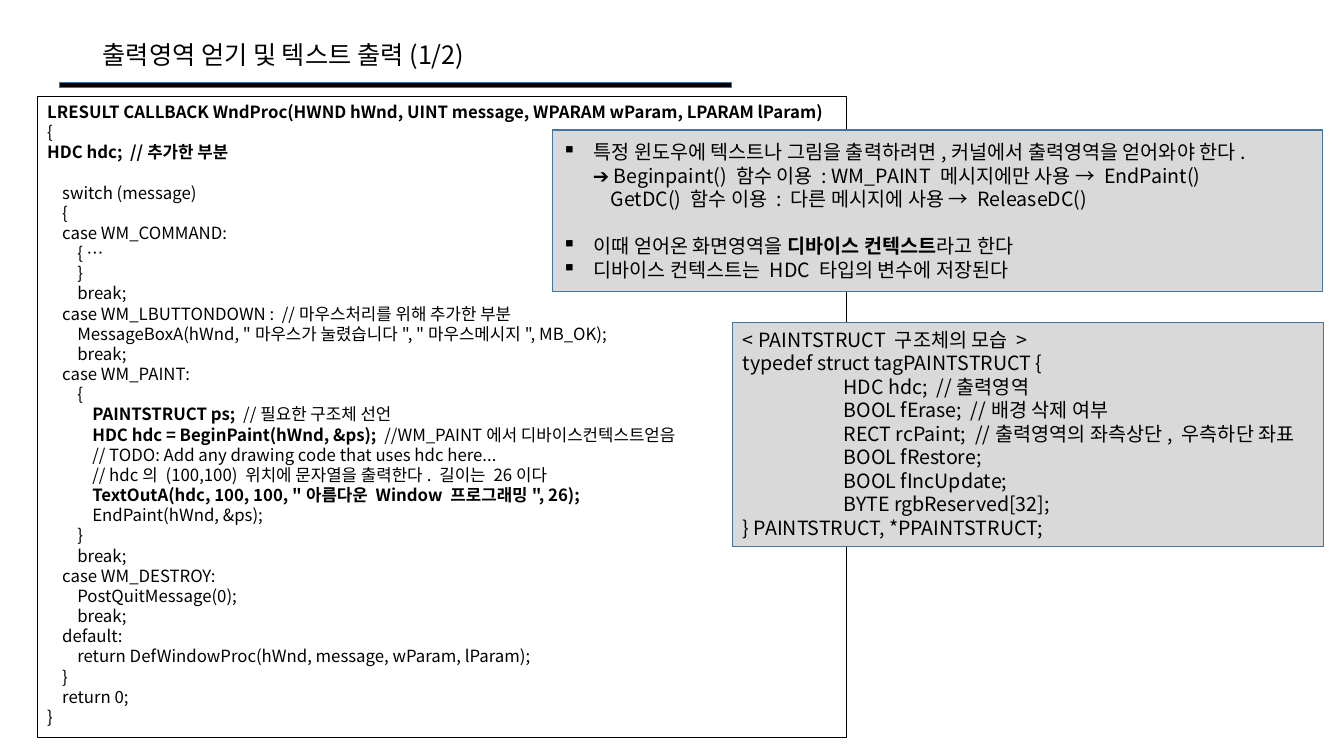
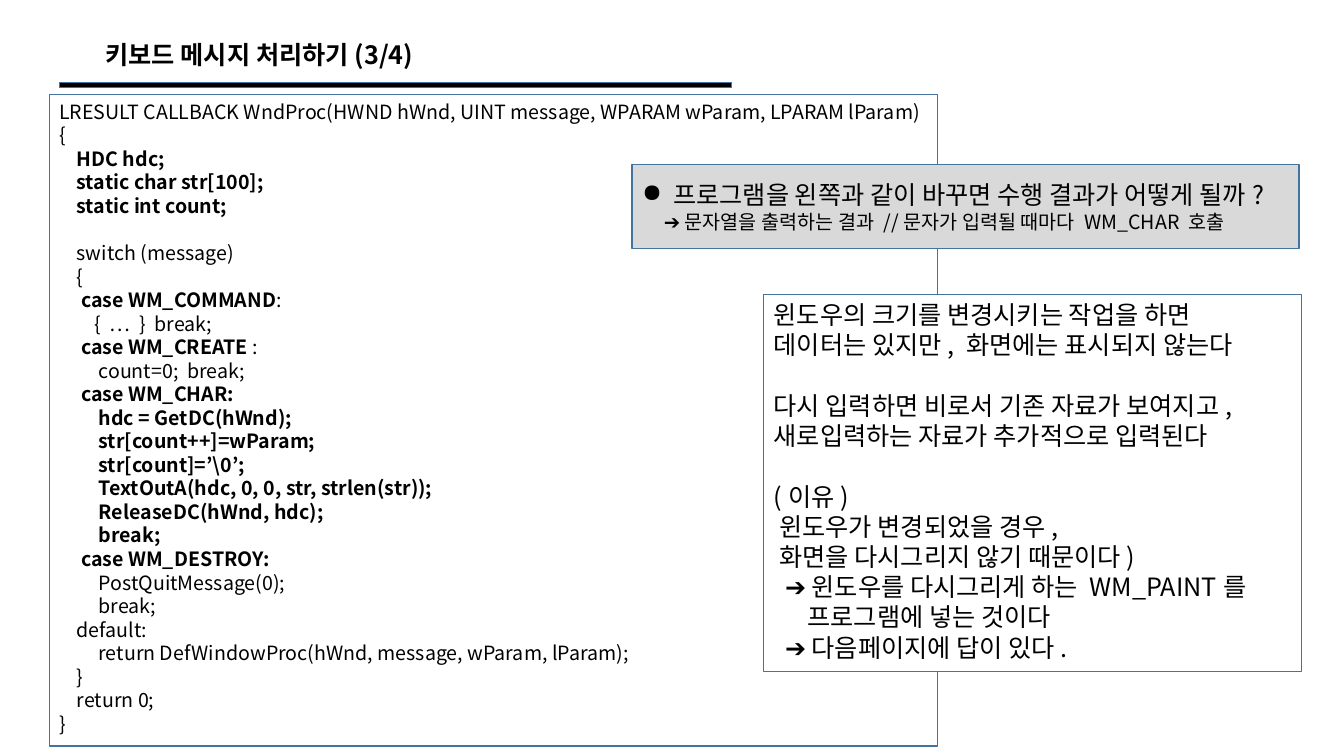
from dataclasses import dataclass

from lxml.etree import SubElement
from pptx import Presentation
from pptx.dml.color import RGBColor
from pptx.enum.shapes import MSO_SHAPE
from pptx.enum.text import MSO_ANCHOR, PP_ALIGN
from pptx.oxml.ns import qn
from pptx.shapes.autoshape import Shape
from pptx.slide import Slide
from pptx.text.text import TextFrame
from pptx.util import Cm, Pt


@dataclass(frozen=True)
class Theme:
    font: str = "Noto Sans CJK KR"
    black: str = "000000"
    white: str = "FFFFFF"
    gray: str = "D9D9D9"
    blue: str = "43739E"
    large: int = 18
    mid: int = 14
    small: int = 12
    pitch: float = 1.2  # line height in ems
    space: float = 0.224  # width of a space in ems
    hang: float = 0.79  # bullet indent in cm
    marks: str = "▪●"


THEME = Theme()


@dataclass(frozen=True)
class Box:
    """A framed text: ** toggles bold, leading spaces indent, a blank line is a gap."""
    left: float
    top: float
    width: float
    height: float
    text: str
    size: int = THEME.mid
    fill: str = ""
    line: str = THEME.blue
    weight: float = 0.75
    middle: bool = False
    step: float = 0  # cm per leading space, 0 for the natural width
    last: int = 0  # type size of the last line, 0 for the same


@dataclass(frozen=True)
class Page:
    title: str
    left: float
    width: float
    boxes: tuple[Box, ...]


PROC = """\
**LRESULT CALLBACK WndProc(HWND hWnd, UINT message, WPARAM wParam, LPARAM lParam)**
{
**HDC hdc;  //추가한 부분**

    switch (message)
    {
    case WM_COMMAND:
        { …
        }
        break;
    case WM_LBUTTONDOWN :  //마우스처리를 위해 추가한 부분
        MessageBoxA(hWnd, "마우스가 눌렸습니다", "마우스메시지", MB_OK);
        break;
"""

PAINT = """\
    case WM_PAINT:
        {
            **PAINTSTRUCT ps;  **//필요한 구조체 선언
            **HDC hdc = BeginPaint(hWnd, &ps);  **//WM_PAINT에서 디바이스컨텍스트얻음
            // TODO: Add any drawing code that uses hdc here...
            // hdc의 (100,100) 위치에 문자열을 출력한다. 길이는 26이다
            **TextOutA(hdc, 100, 100, "아름다운 Window 프로그래밍", 26);**
            EndPaint(hWnd, &ps);
        }
        break;
    case WM_DESTROY:
        PostQuitMessage(0);
        break;
    default:
        return DefWindowProc(hWnd, message, wParam, lParam);
    }
    return 0;
}
"""

NOTE = """\
▪특정 윈도우에 텍스트나 그림을 출력하려면,커널에서 출력영역을 얻어와야 한다.
       ➔ Beginpaint() 함수 이용 : WM_PAINT 메시지에만 사용 → EndPaint()
           GetDC() 함수 이용 : 다른 메시지에 사용 → ReleaseDC()

▪이때 얻어온 화면영역을 **디바이스 컨텍스트**라고 한다
▪디바이스 컨텍스트는 HDC 타입의 변수에 저장된다
"""

STRUCT = """\
< PAINTSTRUCT 구조체의 모습 >
typedef struct tagPAINTSTRUCT {
 HDC hdc;  //출력영역
 BOOL fErase;  //배경 삭제 여부
 RECT rcPaint;  //출력영역의 좌측상단, 우측하단 좌표
 BOOL fRestore;
 BOOL fIncUpdate;
 BYTE rgbReserved[32];
} PAINTSTRUCT, *PPAINTSTRUCT;
"""

KEYS = """\
LRESULT CALLBACK WndProc(HWND hWnd, UINT message, WPARAM wParam, LPARAM lParam)
{
    **HDC hdc;**
    **static char str[100];**
    **static int count;**

    switch (message)
    {
     **case WM_COMMAND**:
        {  …  }  break;
     **case WM_CREATE **:
         count=0;  break;
"""

CHAR = r"""
     **case WM_CHAR:**
         **hdc = GetDC(hWnd);**
         **str[count++]=wParam;**
         **str[count]=’\0’;**
         **TextOutA(hdc, 0, 0, str, strlen(str));**
         **ReleaseDC(hWnd, hdc);**
         **break;**
     **case WM_DESTROY:**
         PostQuitMessage(0);
         break;
    default:
         return DefWindowProc(hWnd, message, wParam, lParam);
    }
    return 0;
}
""".lstrip("\n")

ASK = """\
●프로그램을 왼쪽과 같이 바꾸면 수행 결과가 어떻게 될까?
     ➔ 문자열을 출력하는 결과 //문자가 입력될 때마다 WM_CHAR 호출
"""

WHY = """\
윈도우의 크기를 변경시키는 작업을 하면
데이터는 있지만, 화면에는 표시되지 않는다

다시 입력하면 비로서 기존 자료가 보여지고,
새로입력하는 자료가 추가적으로 입력된다

(이유)
 윈도우가 변경되었을 경우,
 화면을 다시그리지 않기 때문이다)
  ➔ 윈도우를 다시그리게 하는 WM_PAINT를
      프로그램에 넣는 것이다
  ➔ 다음페이지에 답이 있다.
"""

PAGES = (
    Page("출력영역 얻기 및 텍스트 출력(1/2)", 2.34, 10.46, (
        Box(0.94, 2.44, 20.4, 16.15, PROC + PAINT, THEME.small, line=THEME.black),
        Box(13.92, 3.28, 19.41, 4.06, NOTE, fill=THEME.gray, weight=1, middle=True),
        Box(18.47, 8.13, 14.88, 5.64, STRUCT, fill=THEME.gray, step=2.54),
    )),
    Page("**키보드 메시지 처리하기(3/4)**", 2.41, 8.86, (
        Box(1.24, 2.39, 22.4, 16.41, KEYS + CHAR),
        Box(15.93, 4.14, 16.81, 2.13, ASK, THEME.large, THEME.gray,
            weight=1, middle=True, last=THEME.mid),
        Box(19.25, 7.42, 13.56, 9.5, WHY, THEME.large, THEME.white),
    )),
)


def write(frame: TextFrame, text: str, size: int, step: float = 0, last: int = 0) -> None:
    """Fill the frame from marked-up text, one paragraph a line."""
    frame.word_wrap = True
    lines = text.strip("\n").split("\n")
    para, gap = frame.paragraphs[0], 0.0
    for num, line in enumerate(lines):
        if num == len(lines) - 1 and last:
            size = last
        if not line:
            gap = size * THEME.pitch
            continue
        if num:
            para = frame.add_paragraph()
        para.alignment = PP_ALIGN.LEFT
        para.line_spacing = Pt(size * THEME.pitch)
        para.space_before = Pt(gap)
        gap = 0.0
        body = line.lstrip(" ")
        col = Cm(step) if step else Pt(size * THEME.space)
        props = para._p.get_or_add_pPr()
        if body[0] in THEME.marks:
            props.set("marL", str(Cm(THEME.hang)))
            props.set("indent", str(-Cm(THEME.hang)))
            SubElement(props, qn("a:buChar")).set("char", body[0])
            body = body[1:]
        else:
            props.set("marL", str(col * (len(line) - len(body))))
            props.set("indent", "0")
        for turn, part in enumerate(body.split("**")):
            if not part:
                continue
            run = para.add_run()
            run.text = part
            run.font.size = Pt(size)
            run.font.bold = turn % 2 == 1
            run.font.color.rgb = RGBColor.from_string(THEME.black)
            run.font.name = THEME.font
            SubElement(run.font._element, qn("a:ea")).set("typeface", THEME.font)


def panel(slide: Slide, box: Box) -> Shape:
    """Draw the plain rectangle of a box."""
    shape = slide.shapes.add_shape(
        MSO_SHAPE.RECTANGLE, Cm(box.left), Cm(box.top), Cm(box.width), Cm(box.height))
    shape.shadow.inherit = False
    if box.fill:
        shape.fill.solid()
        shape.fill.fore_color.rgb = RGBColor.from_string(box.fill)
    else:
        shape.fill.background()
    shape.line.color.rgb = RGBColor.from_string(box.line)
    shape.line.width = Pt(box.weight)
    return shape


def head(slide: Slide, page: Page) -> None:
    """Draw the title and the bar below it."""
    panel(slide, Box(1.5, 2.08, 16.94, 0.13, "", fill=THEME.black, weight=1))
    title = slide.shapes.add_textbox(Cm(page.left), Cm(0.86), Cm(page.width), Cm(1.02))
    write(title.text_frame, page.title, THEME.large)


def draw(slide: Slide, page: Page) -> None:
    head(slide, page)
    for box in page.boxes:
        frame = panel(slide, box).text_frame
        frame.vertical_anchor = MSO_ANCHOR.MIDDLE if box.middle else MSO_ANCHOR.TOP
        write(frame, box.text, box.size, box.step, box.last)


def main() -> None:
    deck = Presentation()
    deck.slide_width, deck.slide_height = Cm(33.87), Cm(19.05)
    for page in PAGES:
        draw(deck.slides.add_slide(deck.slide_layouts[6]), page)
    deck.save("out.pptx")


if __name__ == "__main__":
    main()
